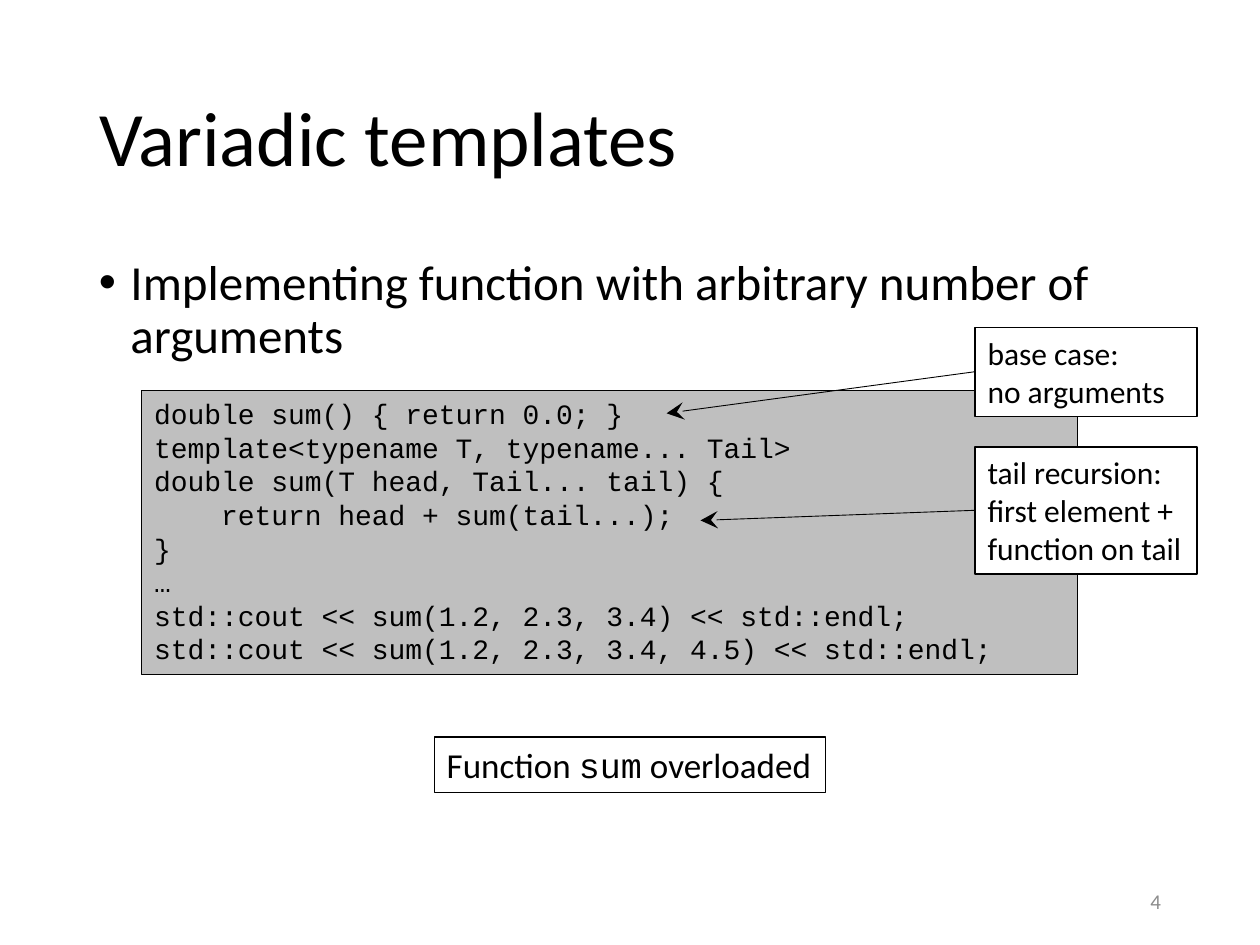
"""Build the slide on variadic templates with annotated code."""
from dataclasses import dataclass

from lxml.etree import SubElement
from pptx import Presentation
from pptx.dml.color import RGBColor
from pptx.enum.shapes import MSO_CONNECTOR as Connector, MSO_SHAPE as Shape
from pptx.enum.text import MSO_ANCHOR as Anchor, PP_ALIGN as Align
from pptx.oxml.ns import qn
from pptx.util import Pt

BLACK = RGBColor(0x00, 0x00, 0x00)
WHITE = RGBColor(0xFF, 0xFF, 0xFF)
SILVER = RGBColor(0xBF, 0xBF, 0xBF)
GRAY = RGBColor(0x8C, 0x8C, 0x8C)
SANS, MONO = "Calibri", "Courier New"

CODE = """double sum() { return 0.0; }
template<typename T, typename... Tail>
double sum(T head, Tail... tail) {
    return head + sum(tail...);
}
…
std::cout << sum(1.2, 2.3, 3.4) << std::endl;
std::cout << sum(1.2, 2.3, 3.4, 4.5) << std::endl;"""


@dataclass(frozen=True)
class Area:
    left: float
    top: float
    width: float
    height: float

    def lengths(self) -> tuple:
        return Pt(self.left), Pt(self.top), Pt(self.width), Pt(self.height)


@dataclass(frozen=True)
class Callout:
    text: str
    area: Area
    start_y: float
    tip: tuple[float, float]
    wrap: bool


CALLOUTS = (
    Callout("base case:\vno arguments", Area(557.2, 187.2, 126.8, 51),
            212.4, (380.9, 236.2), True),
    Callout("tail recursion:\vfirst element +\vfunction on tail",
            Area(557.2, 255.4, 126.8, 72.7), 291.6, (400.3, 297.4), False),
)


def style_text(frame, size: float, name: str = SANS, color=BLACK, align=Align.LEFT) -> None:
    for para in frame.paragraphs:
        para.alignment = align
        for span in para.runs:
            span.font.size = Pt(size)
            span.font.name = name
            span.font.color.rgb = color


def add_box(shapes, area: Area, text: str, size: float, name: str = SANS,
            fill=WHITE, wrap: bool = True):
    box = shapes.add_shape(Shape.RECTANGLE, *area.lengths())
    box.shadow.inherit = False
    box.fill.solid()
    box.fill.fore_color.rgb = fill
    box.line.color.rgb = BLACK
    box.line.width = Pt(0.75)
    frame = box.text_frame
    frame.word_wrap = wrap
    frame.vertical_anchor = Anchor.TOP
    frame.text = text
    style_text(frame, size, name)
    return box


def add_callout(page, callout: Callout) -> None:
    group = page.shapes.add_group_shape()
    add_box(group.shapes, callout.area, callout.text, 18, wrap=callout.wrap)
    arrow = group.shapes.add_connector(
        Connector.STRAIGHT, Pt(callout.area.left), Pt(callout.start_y),
        Pt(callout.tip[0]), Pt(callout.tip[1]))
    arrow.line.color.rgb = BLACK
    arrow.line.width = Pt(0.5)
    properties = arrow.element.spPr
    SubElement(properties.find(qn("a:ln")), qn("a:tailEnd"),
               type="stealth", w="lg", len="lg")
    SubElement(properties, qn("a:effectLst"))


def add_title(page, text: str) -> None:
    title = page.shapes.title
    title.left, title.top, title.width, title.height = Area(49.5, 28.8, 621, 104.4).lengths()
    frame = title.text_frame
    frame.text = text
    frame.vertical_anchor = Anchor.MIDDLE
    frame.paragraphs[0].line_spacing = 0.9
    style_text(frame, 44)


def add_bullet(page, text: str) -> None:
    frame = page.shapes.add_textbox(*Area(49.5, 144, 621, 342.7).lengths()).text_frame
    frame.word_wrap = True
    frame.text = text
    para = frame.paragraphs[0]
    para.line_spacing = 0.9
    properties = para._p.get_or_add_pPr()
    properties.set("marL", str(Pt(18)))
    properties.set("indent", str(-Pt(18)))
    SubElement(properties, qn("a:buFont"), typeface="Arial")
    SubElement(properties, qn("a:buChar"), char="•")
    style_text(frame, 28)


def add_page_number(page, text: str) -> None:
    frame = page.shapes.add_textbox(*Area(508.5, 500.5, 162, 28.75).lengths()).text_frame
    frame.word_wrap = True
    frame.vertical_anchor = Anchor.MIDDLE
    frame.text = text
    style_text(frame, 12, color=GRAY, align=Align.RIGHT)


def add_summary(page) -> None:
    box = add_box(page.shapes, Area(248.2, 421.2, 223.6, 31.5), "Function ", 20, wrap=False)
    para = box.text_frame.paragraphs[0]
    for text, name in (("sum", MONO), (" overloaded", SANS)):
        span = para.add_run()
        span.text = text
        span.font.size = Pt(20)
        span.font.name = name
        span.font.color.rgb = BLACK


def main() -> None:
    deck = Presentation()
    deck.slide_width, deck.slide_height = Pt(720), Pt(540)
    page = deck.slides.add_slide(deck.slide_layouts[5])
    add_title(page, "Variadic templates")
    add_bullet(page, "Implementing function with arbitrary number of arguments")
    add_page_number(page, "4")
    add_box(page.shapes, Area(81, 223.2, 534.6, 162.4), CODE, 16, MONO, SILVER)
    for callout in CALLOUTS:
        add_callout(page, callout)
    add_summary(page)
    deck.save("out.pptx")


if __name__ == "__main__":
    main()
